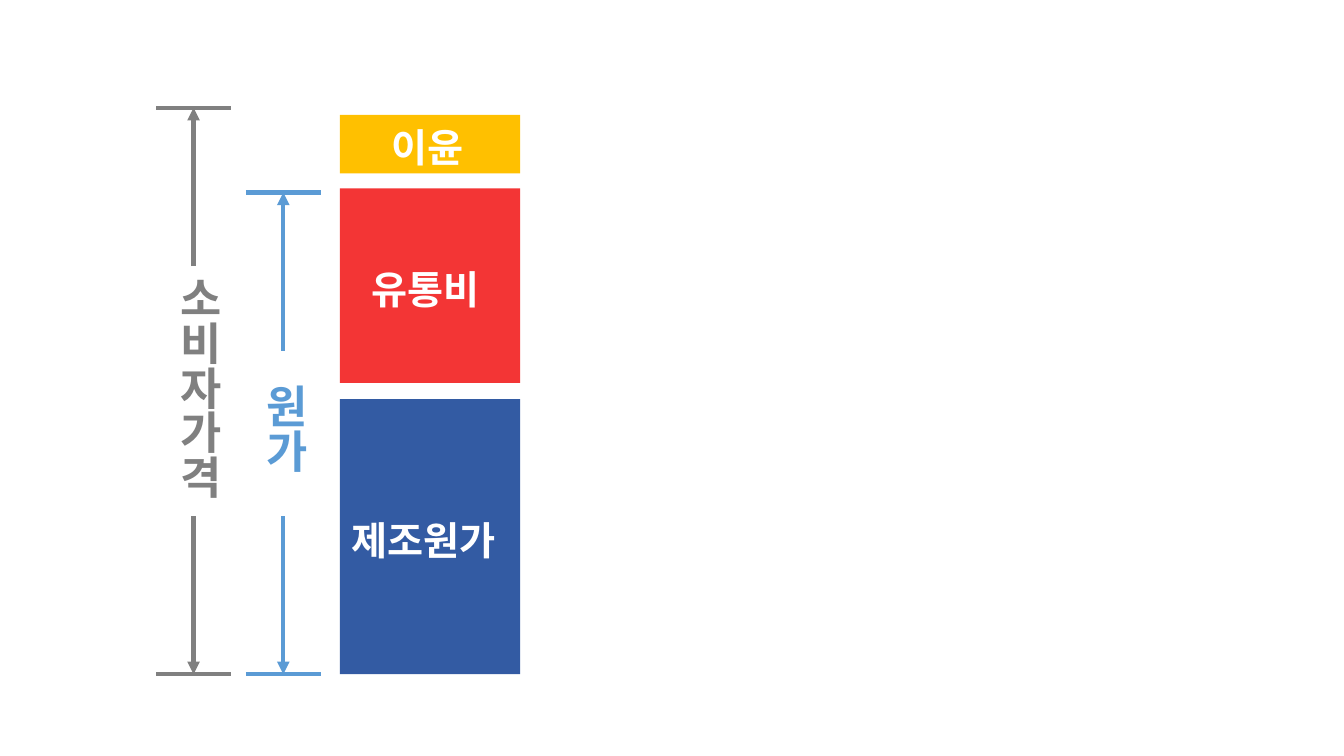
from lxml import etree
from pptx import Presentation
from pptx import util as u
from pptx.dml.color import RGBColor
from pptx.enum import shapes, text
from pptx.oxml.ns import qn

HUES = {"gray": "808080", "sky": "5B9BD5", "blue": "335BA3",
        "red": "F33535", "gold": "FFC000", "white": "FFFFFF"}
FONT = "Noto Sans CJK KR"
BASE = 6.69  # shared bottom of the bars and the measures


class Deck:
    """Holds the style and the current slide."""

    def __init__(self):
        """Open a blank wide slide."""
        self.prs = Presentation()
        self.prs.slide_width = u.Inches(13.33)
        self.prs.slide_height = u.Inches(7.5)
        self.slide = self.prs.slides.add_slide(self.prs.slide_layouts[6])

    def hue(self, name):
        """Return a named colour."""
        return RGBColor.from_string(HUES[name])

    def block(self, left, top, width, height, fill):
        """Draw a plain filled bar."""
        bar = self.slide.shapes.add_shape(
            shapes.MSO_SHAPE.RECTANGLE,
            *map(u.Inches, (left, top, width, height)))
        bar.shadow.inherit = False
        bar.fill.solid()
        bar.fill.fore_color.rgb = self.hue(fill)
        bar.line.fill.background()

    def label(self, words, left, top, width, height, size, color,
              upright=False, wrap=False, fill=None):
        """Write a bold label, stacked downward when upright."""
        box = self.slide.shapes.add_textbox(
            *map(u.Inches, (left, top, width, height)))
        if fill:
            box.fill.solid()
            box.fill.fore_color.rgb = self.hue(fill)
        frame = box.text_frame
        frame.word_wrap = wrap
        frame.auto_size = text.MSO_AUTO_SIZE.SHAPE_TO_FIT_TEXT
        if upright:
            frame._txBody.bodyPr.set("vert", "eaVert")
        run = frame.paragraphs[0].add_run()
        run.text = words
        font = run.font
        font.size, font.bold, font.name = u.Pt(size), True, FONT
        font.color.rgb = self.hue(color)
        etree.SubElement(font._element, qn("a:ea"), typeface=FONT)

    def line(self, start, end, color, arrow=False):
        """Draw a line, with an arrowhead at its end if asked."""
        rule = self.slide.shapes.add_connector(
            shapes.MSO_CONNECTOR.STRAIGHT, *map(u.Inches, start + end))
        rule.line.width = u.Pt(3)
        rule.line.color.rgb = self.hue(color)
        if arrow:
            etree.SubElement(rule.line._get_or_add_ln(), qn("a:tailEnd"),
                             type="triangle")
        etree.SubElement(rule._element.spPr, qn("a:effectLst"))

    def measure(self, mid, top, upper, lower, color):
        """Draw arrows from a label gap out to the two end caps."""
        for inner, outer in ((upper, top), (lower, BASE)):
            self.line((mid, inner), (mid, outer), color, arrow=True)
            self.line((mid - 0.37, outer), (mid + 0.37, outer), color)


def main():
    """Build the price breakdown slide."""
    deck = Deck()
    left, width = 3.37, 1.79
    costs = (("제조원가", 3.96, 2.73, "blue"),
             ("유통비", 1.87, 1.93, "red"),
             ("이윤", 1.14, 0.58, "gold"))
    for name, top, height, fill in costs:
        deck.block(left, top, width, height, fill)
        wide, tall = 0.21 + 0.39 * len(name), 0.57
        deck.label(name, left + (width - wide) / 2 + 0.01,
                   top + (height - tall) / 2 + 0.03, wide, tall, 28, "white")

    deck.label("소비자가격", 1.55, 2.64, 0.74, 2.49, 32, "gray", upright=True)
    deck.label("원가", 2.41, 3.71, 0.74, 1.1, 32, "sky",
               upright=True, wrap=True, fill="white")
    deck.measure(1.92, 1.07, 2.64, 5.12, "gray")
    deck.measure(2.81, 1.91, 3.48, 5.12, "sky")
    deck.prs.save("out.pptx")


main()
